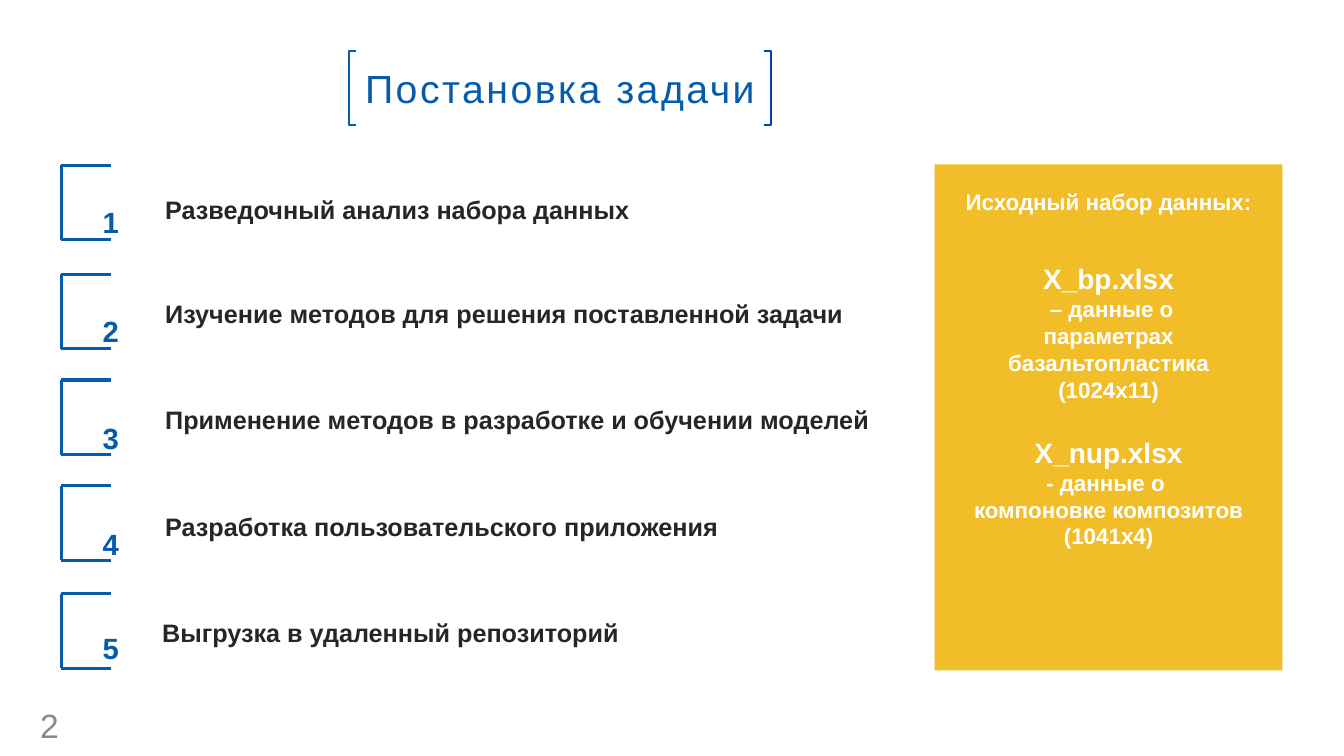
from lxml import etree
from pptx import Presentation
from pptx.dml.color import RGBColor
from pptx.enum.shapes import MSO_CONNECTOR, MSO_SHAPE
from pptx.enum.text import MSO_ANCHOR, PP_ALIGN
from pptx.oxml.ns import qn
from pptx.util import Inches, Pt

BLUE = RGBColor(0x06, 0x5C, 0xAB)
DARK_BLUE = RGBColor(0x00, 0x46, 0xA2)
YELLOW = RGBColor(0xF1, 0xBE, 0x29)
WHITE = RGBColor(0xFF, 0xFF, 0xFF)
DARK = RGBColor(0x26, 0x26, 0x26)
GRAY = RGBColor(0x89, 0x89, 0x89)

TITLE = "Постановка задачи"
PAGE_NUMBER = "2"

# label, bracket top, label left, label top, number top
TASKS = [
    ("Разведочный анализ набора данных", 1.64, 1.54, 1.88, 1.92),
    ("Изучение методов для решения поставленной задачи", 2.72, 1.54, 2.91, 3.0),
    ("Применение методов в разработке и обучении моделей", 3.77, 1.54, 3.96, 4.06),
    ("Разработка пользовательского приложения", 4.82, 1.54, 5.02, 5.11),
    ("Выгрузка в удаленный репозиторий", 5.89, 1.51, 6.08, 6.14),
]

# text, size, space before in points, line spacing
DATASET_LINES = [
    ("Исходный набор данных:", 16, 0, 0.9),
    ("X_bp.xlsx", 20, 33, 1),
    (" – данные о", 16, 0, 1),
    ("параметрах базальтопластика", 16, 0, 1),
    ("(1024х11)", 16, 0, 1),
    ("X_nup.xlsx", 20, 23, 1),
    ("- данные о ", 16, 0, 1),
    ("компоновке композитов", 16, 0, 1),
    ("(1041х4)", 16, 0, 1),
]

TITLE_LEFT, TITLE_TOP, TITLE_WIDTH, TITLE_HEIGHT = 3.46, 0.51, 4.19, 0.73
BRACKET_LEFT, BRACKET_RIGHT, BRACKET_HEIGHT = 0.61, 1.1, 0.74

prs = Presentation()
prs.slide_width, prs.slide_height = Inches(13.33), Inches(7.5)
slide = prs.slides.add_slide(prs.slide_layouts[6])
shapes = slide.shapes


def style(paragraph, size, color, bold=False):
    font = paragraph.font
    font.name, font.size, font.bold = "Arial", Pt(size), bold
    font.color.rgb = color


def add_box(left, top, width, height, fill):
    box = shapes.add_shape(MSO_SHAPE.RECTANGLE, Inches(left), Inches(top),
                           Inches(width), Inches(height))
    box.shadow.inherit = False
    box.fill.solid()
    box.fill.fore_color.rgb = fill
    box.line.fill.background()
    return box


def add_text(text, left, top, width, height, size, color, bold=False):
    frame = shapes.add_textbox(Inches(left), Inches(top),
                               Inches(width), Inches(height)).text_frame
    frame.word_wrap = True
    paragraph = frame.paragraphs[0]
    paragraph.text = text
    style(paragraph, size, color, bold)
    return frame


def add_line(x1, y1, x2, y2):
    line = shapes.add_connector(MSO_CONNECTOR.STRAIGHT, Inches(x1), Inches(y1),
                                Inches(x2), Inches(y2))
    line.line.color.rgb = BLUE
    line.line.width = Pt(2.25)
    etree.SubElement(line._element.spPr, qn("a:effectLst"))


def add_title_bracket(edge, tip, color):
    """Open bracket with its upright at edge and its arms reaching to tip."""
    bottom = TITLE_TOP + TITLE_HEIGHT
    corners = [(edge, TITLE_TOP), (edge, bottom), (tip, bottom)]
    builder = shapes.build_freeform(Inches(tip), Inches(TITLE_TOP))
    builder.add_line_segments([(Inches(x), Inches(y)) for x, y in corners], close=False)
    bracket = builder.convert_to_shape()
    bracket.shadow.inherit = False
    bracket.fill.background()
    bracket.line.color.rgb = color
    bracket.line.width = Pt(1.3)


title_box = add_box(TITLE_LEFT, TITLE_TOP, TITLE_WIDTH, TITLE_HEIGHT, WHITE)
title_frame = title_box.text_frame
title_frame.margin_left = title_frame.margin_right = 0
title_frame.vertical_anchor = MSO_ANCHOR.MIDDLE
title = title_frame.paragraphs[0]
title.text = TITLE
title.alignment = PP_ALIGN.CENTER
style(title, 28, BLUE)
title.runs[0].font._element.set("spc", "180")

title_right = TITLE_LEFT + TITLE_WIDTH
add_title_bracket(TITLE_LEFT, TITLE_LEFT + 0.07, BLUE)
add_title_bracket(title_right, title_right - 0.07, DARK_BLUE)

page_frame = add_text(PAGE_NUMBER, 0.3, 7.04, 0.62, 0.3, 24, GRAY)
page_frame.vertical_anchor = MSO_ANCHOR.MIDDLE

dataset_frame = add_box(9.27, 1.63, 3.45, 5.02, YELLOW).text_frame
dataset_frame.word_wrap = True
dataset_frame.vertical_anchor = MSO_ANCHOR.TOP
dataset_frame.margin_left = dataset_frame.margin_right = Inches(0.08)
dataset_frame.margin_top = Inches(0.27)
for index, (text, size, gap, spacing) in enumerate(DATASET_LINES):
    paragraph = dataset_frame.add_paragraph() if index else dataset_frame.paragraphs[0]
    paragraph.text = text
    paragraph.alignment = PP_ALIGN.CENTER
    paragraph.space_before = Pt(gap)
    paragraph.line_spacing = float(spacing)
    style(paragraph, size, WHITE, bold=True)

for number, (label, top, label_left, label_top, number_top) in enumerate(TASKS, 1):
    bottom = top + BRACKET_HEIGHT
    add_line(BRACKET_LEFT, top, BRACKET_LEFT, bottom)
    for arm in (top, bottom):
        add_line(BRACKET_LEFT, arm, BRACKET_RIGHT, arm)
    add_text(label, label_left, label_top, 7.23, 0.4, 18, DARK, bold=True)
    number_frame = add_text(str(number), 0.92, number_top, 1.18, 0.5, 36, BLUE, bold=True)
    number_frame.paragraphs[0].runs[0].font._element.set("baseline", "30000")

prs.save("out.pptx")
